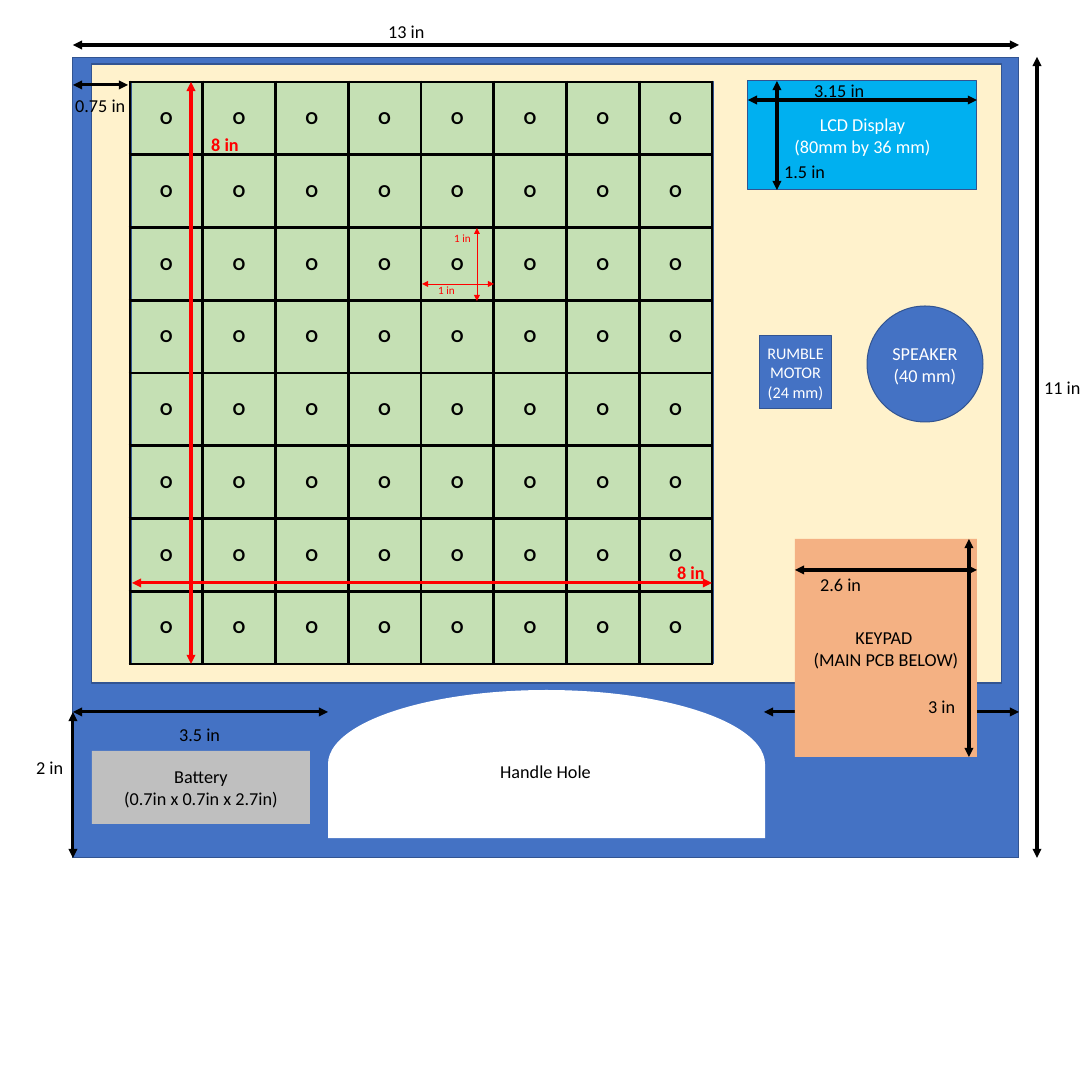
from collections import namedtuple
from itertools import product

from lxml.etree import SubElement
from pptx import Presentation
from pptx.dml.color import RGBColor
from pptx.enum.shapes import MSO_CONNECTOR, MSO_SHAPE
from pptx.enum.text import MSO_ANCHOR, PP_ALIGN
from pptx.oxml.ns import qn
from pptx.util import Pt

SCALE = 914400 / 72.8  # EMU in one pixel
BLACK, WHITE, RED = "000000", "FFFFFF", "FF0000"
BLUE, EDGE = "4472C4", "325491"
Box = namedtuple("Box", "left top width height")


def px(value):
    return round(value * SCALE)


def color(code):
    return RGBColor.from_string(code)


def style_text(frame, ink, size, bold=False, align=None):
    for para in frame.paragraphs:
        para.alignment = align
        for span in para.runs:
            span.font.name = "Calibri"
            span.font.size = Pt(size)
            span.font.bold = bold
            span.font.color.rgb = color(ink)


def block(page, box, fill, edge=None, text="", ink=WHITE, size=18, kind=MSO_SHAPE.RECTANGLE):
    """Add a filled shape with centred text."""
    shape = page.shapes.add_shape(kind, *map(px, box))
    shape.shadow.inherit = False
    shape.fill.solid()
    shape.fill.fore_color.rgb = color(fill)
    if edge:
        shape.line.color.rgb = color(edge)
        shape.line.width = Pt(1)
    else:
        shape.line.fill.background()
    if text:
        frame = shape.text_frame
        frame.text = text
        frame.word_wrap = True
        frame.vertical_anchor = MSO_ANCHOR.MIDDLE
        style_text(frame, ink, size, align=PP_ALIGN.CENTER)
    return shape


def label(page, box, x, y, width, text, ink=BLACK, size=18, bold=False):
    """Add a one-line text at an offset from the box."""
    height = 29 if size == 18 else 21
    area = Box(box.left + x, box.top + y, width, height)
    frame = page.shapes.add_textbox(*map(px, area)).text_frame
    frame.word_wrap = False
    frame.text = text
    style_text(frame, ink, size, bold)


def measure(page, box, x1, y1, x2, y2, ink=BLACK, width=3):
    """Add a double-headed arrow between two offsets from the box."""
    ends = box.left + x1, box.top + y1, box.left + x2, box.top + y2
    arrow = page.shapes.add_connector(MSO_CONNECTOR.STRAIGHT, *map(px, ends))
    arrow.line.color.rgb = color(ink)
    arrow.line.width = Pt(width)
    line = arrow.line._get_or_add_ln()
    for end in ("a:headEnd", "a:tailEnd"):
        SubElement(line, qn(end), type="triangle")
    SubElement(arrow._element.spPr, qn("a:effectLst"))


def draw_case(page, box):
    block(page, box, BLUE, EDGE)
    # Overall size
    measure(page, box, 0, -12, box.width, -12)
    label(page, box, 308, -40, 52, "13 in")
    measure(page, box, 964, 0, 964, box.height)
    label(page, box, 964, 316, 52, "11 in")
    # Lower part
    measure(page, box, 0, 655, 0, box.height)
    label(page, box, -44, 696, 42, "2 in")
    measure(page, box, 0, 655, 255, 655)
    measure(page, box, box.width - 255, 655, box.width, 655)
    label(page, box, 99, 663, 56, "3.5 in")


def draw_handle(page, box):
    # The delay shape is laid out on its side, then turned upright
    turned = Box(box.left + (box.width - box.height) / 2,
                 box.top + (box.height - box.width) / 2, box.height, box.width)
    block(page, turned, WHITE, kind=MSO_SHAPE.FLOWCHART_DELAY).rotation = 270
    label(page, box, 165, 67, 108, "Handle Hole")


def draw_grid(page, box, count=8):
    block(page, box, "C5E0B4", EDGE)
    frame = page.shapes.add_table(count, count, px(box.left - 2), px(box.top),
                                  px(box.width), px(box.height))
    table = frame.table
    table.first_row = table.horz_banding = False
    for line in table.columns:
        line.width = px(box.width / count)
    for line in table.rows:
        line.height = px(box.height / count)
    for row, column in product(range(count), repeat=2):
        cell = table.cell(row, column)
        cell.text_frame.text = "O"
        cell.vertical_anchor = MSO_ANCHOR.MIDDLE
        style_text(cell.text_frame, BLACK, 18, True, PP_ALIGN.CENTER)
        props = cell._tc.get_or_add_tcPr()
        for side in ("a:lnL", "a:lnR", "a:lnT", "a:lnB"):
            border = SubElement(props, qn(side), w=str(Pt(3)))
            fill = SubElement(border, qn("a:solidFill"))
            SubElement(fill, qn("a:srgbClr"), val=BLACK)
        cell.fill.background()


def draw_grid_sizes(page, box):
    # Margin to the case
    measure(page, box, -59, 3, -4, 3)
    label(page, box, -64, 9, 66, "0.75 in")
    # Whole grid
    measure(page, box, 59, 0, 59, box.height, RED)
    measure(page, box, 0, 501, box.width - 2, 501, RED)
    label(page, box, 72, 48, 42, "8 in", RED, bold=True)
    label(page, box, 538, 476, 42, "8 in", RED, bold=True)
    # One cell
    measure(page, box, 290, 202, 362, 202, RED, 0.5)
    measure(page, box, 345, 146, 345, 219, RED, 0.5)
    label(page, box, 315, 146, 31, "1 in", RED, 11)
    label(page, box, 299, 198, 31, "1 in", RED, 11)


def draw_display(page, box):
    block(page, box, "00B0F0", EDGE, "LCD Display\n(80mm by 36 mm)")
    measure(page, box, 0, 19, box.width, 19)
    measure(page, box, 29, 0, 29, box.height)
    label(page, box, 29, 76, 56, "1.5 in")
    label(page, box, 59, -5, 66, "3.15 in")


def draw_keypad(page, box):
    block(page, box, "F4B183", text="KEYPAD \n(MAIN PCB BELOW)", ink=BLACK)
    measure(page, box, 174, 0, 174, box.height)
    measure(page, box, 0, 31, box.width, 31)
    label(page, box, 18, 31, 56, "2.6 in")
    label(page, box, 126, 153, 42, "3 in")


deck = Presentation()
deck.slide_width = deck.slide_height = px(1092)
page = deck.slides.add_slide(deck.slide_layouts[6])
grid = Box(132, 82, 582, 582)

draw_case(page, Box(73, 57, 946, 801))
draw_handle(page, Box(328, 690, 437, 148))
block(page, Box(92, 64, 910, 619), "FFF2CC", EDGE, kind=MSO_SHAPE.FLOWCHART_PROCESS)
draw_grid(page, grid)
draw_keypad(page, Box(795, 539, 182, 218))
draw_display(page, Box(748, 81, 229, 109))
block(page, Box(759, 336, 73, 73), BLUE, EDGE, "RUMBLE MOTOR\n(24 mm)", size=16)
block(page, Box(867, 306, 116, 116), BLUE, EDGE, "SPEAKER\n(40 mm)", kind=MSO_SHAPE.OVAL)
draw_grid_sizes(page, grid)
block(page, Box(92, 751, 218, 73), "BFBFBF", text="Battery\n(0.7in x 0.7in x 2.7in)", ink=BLACK)

deck.save("out.pptx")
